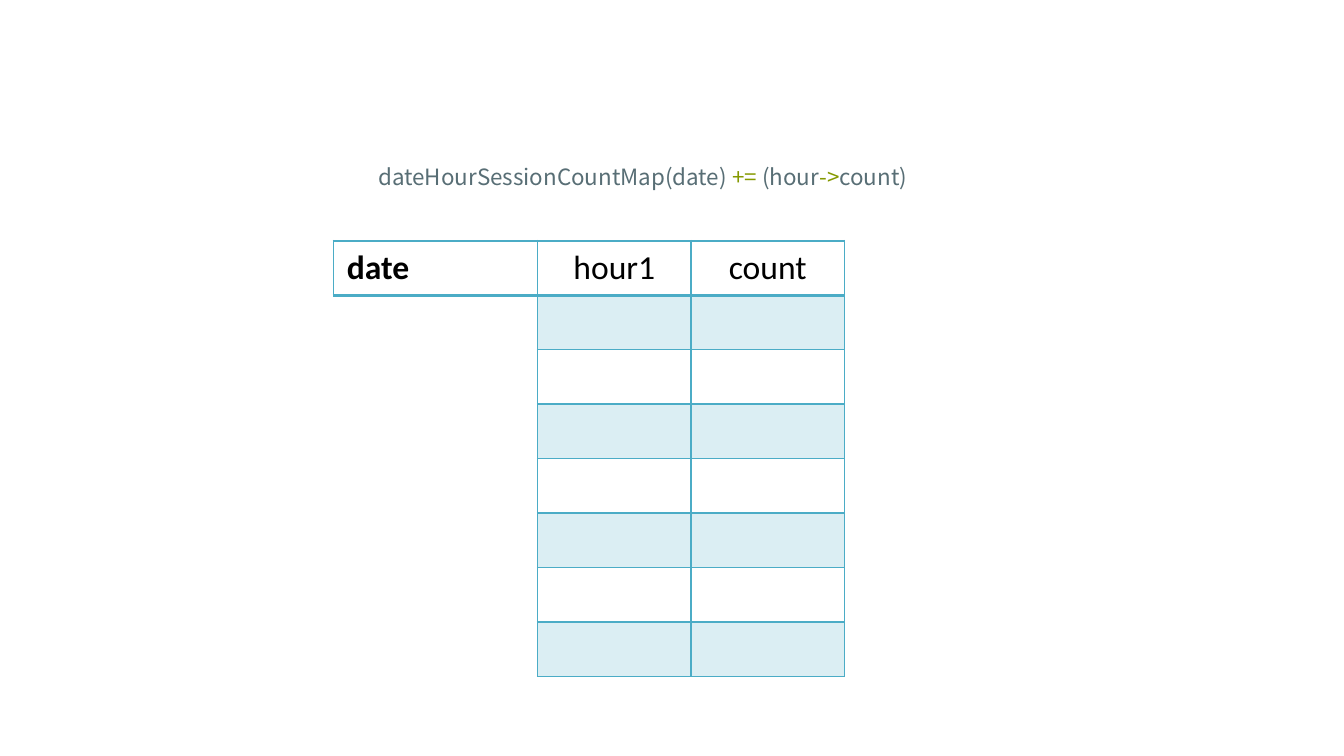
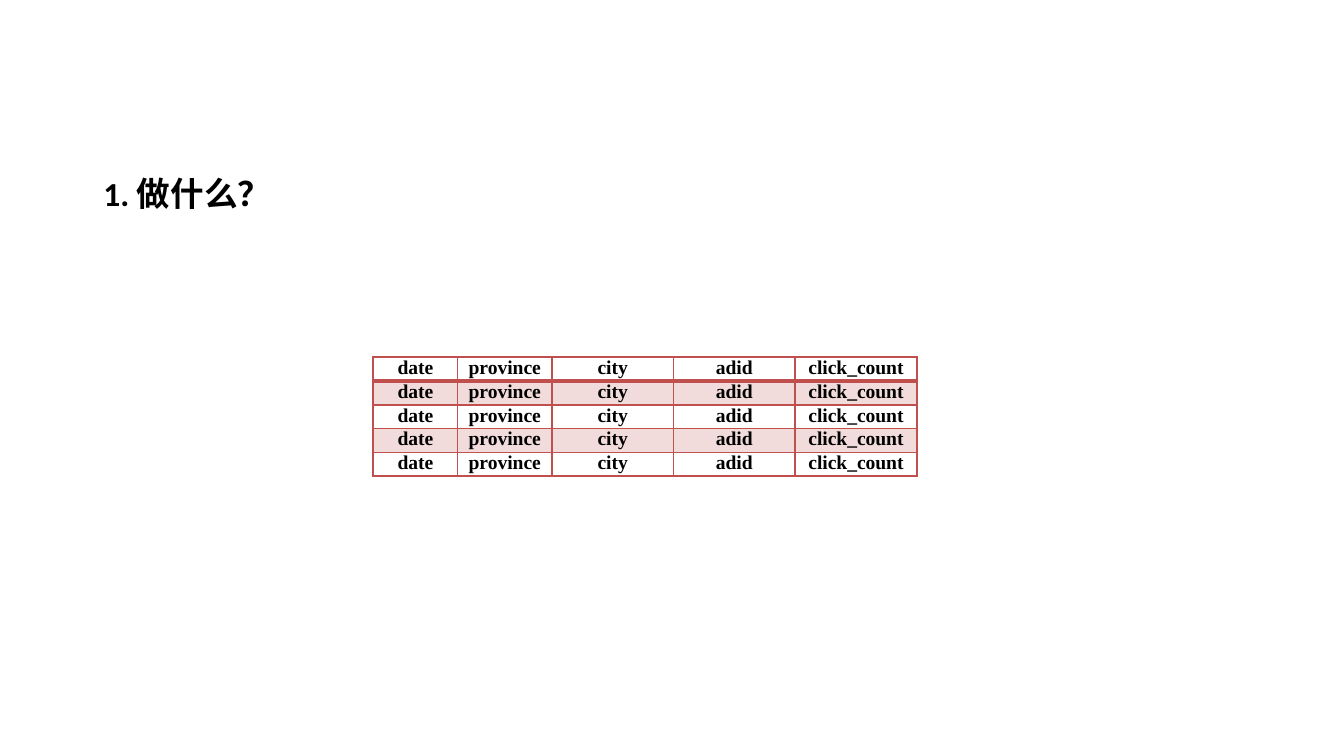
from lxml import etree
from pptx import Presentation
from pptx import util as u
from pptx.dml.color import RGBColor
from pptx.enum import text
from pptx.oxml import ns

BLACK = RGBColor(0x00, 0x00, 0x00)
TEAL = RGBColor(0x4B, 0xAC, 0xC6)
RED = RGBColor(0xC0, 0x50, 0x4D)
SLATE = RGBColor(0x58, 0x6E, 0x75)
OLIVE = RGBColor(0x85, 0x99, 0x00)

SANS = "Calibri"
CJK = "Noto Sans CJK SC"
SERIF = "Times New Roman"

TITLE_ONLY = 5
BLANK = 6
THIN, THICK = 1, 2
BAND_ALPHA = 20000


def format_run(run, font, size, color=BLACK, bold=False):
    run.font.name = font
    run.font.size = u.Pt(size)
    run.font.bold = bold
    run.font.color.rgb = color
    east_asian = etree.SubElement(run.font._element, ns.qn("a:ea"))
    east_asian.set("typeface", CJK)


def place(shape, left, top, width, height):
    shape.left, shape.top = u.Cm(left), u.Cm(top)
    shape.width, shape.height = u.Cm(width), u.Cm(height)


def set_borders(cell, color, top, bottom):
    properties = cell._tc.get_or_add_tcPr()
    sides = (("L", THIN), ("R", THIN), ("T", top), ("B", bottom))
    for position, (side, weight) in enumerate(sides):
        line = etree.Element(ns.qn(f"a:ln{side}"), w=str(u.Pt(weight)))
        fill = etree.SubElement(line, ns.qn("a:solidFill"))
        etree.SubElement(fill, ns.qn("a:srgbClr"), val=str(color))
        properties.insert(position, line)


def set_band(cell, color, banded):
    if not banded:
        cell.fill.background()
        return
    cell.fill.solid()
    cell.fill.fore_color.rgb = color
    tint = cell._tc.tcPr.find(".//" + ns.qn("a:srgbClr"))
    etree.SubElement(tint, ns.qn("a:alpha"), val=str(BAND_ALPHA))


def add_grid(slide, left, top, widths, row_height, rows, color, font, size,
             bold=False, align=text.PP_ALIGN.CENTER, margins=None):
    frame = slide.shapes.add_table(
        len(rows), len(widths), u.Cm(left), u.Cm(top),
        u.Cm(sum(widths)), u.Cm(row_height * len(rows)))
    grid = frame.table
    grid.first_row = grid.horz_banding = False
    for column, width in zip(grid.columns, widths):
        column.width = u.Cm(width)
    for index, labels in enumerate(rows):
        grid.rows[index].height = u.Cm(row_height)
        for cell, label in zip(grid.rows[index].cells, labels):
            set_band(cell, color, index % 2 == 1)
            set_borders(cell, color, THICK if index == 1 else THIN,
                        THICK if index == 0 else THIN)
            if margins:
                cell.margin_left = cell.margin_right = u.Cm(margins[0])
                cell.margin_top = cell.margin_bottom = u.Cm(margins[1])
            if label:
                cell.text_frame.text = label
                paragraph = cell.text_frame.paragraphs[0]
                paragraph.alignment = align
                format_run(paragraph.runs[0], font, size, bold=bold)


def add_code_line(slide, left, top, width, height, pieces):
    code = slide.shapes.add_textbox(0, 0, 0, 0)
    place(code, left, top, width, height)
    code.text_frame.word_wrap = True
    code.text_frame.auto_size = text.MSO_AUTO_SIZE.SHAPE_TO_FIT_TEXT
    for words, color in pieces:
        run = code.text_frame.paragraphs[0].add_run()
        run.text = words
        format_run(run, CJK, 12, color)


def set_title(slide, words, left, top, width, height):
    title = slide.shapes.title
    place(title, left, top, width, height)
    title.text_frame.text = words
    title.text_frame.word_wrap = False
    title.text_frame.auto_size = text.MSO_AUTO_SIZE.SHAPE_TO_FIT_TEXT
    title.text_frame.vertical_anchor = text.MSO_ANCHOR.TOP
    paragraph = title.text_frame.paragraphs[0]
    paragraph.alignment = text.PP_ALIGN.LEFT
    format_run(paragraph.runs[0], SANS, 18, bold=True)


def build_session_map(prs):
    slide = prs.slides.add_slide(prs.slide_layouts[BLANK])
    top, row_height, date_left, date_width = 4.55, 1.03, 6.3, 3.86
    hours = [("hour1", "count")] + [("", "")] * 7
    add_grid(slide, date_left + date_width, top, [2.9, 2.9], row_height,
             hours, TEAL, SANS, 18)
    add_grid(slide, date_left, top, [date_width], row_height, [("date",)],
             TEAL, SANS, 18, bold=True, align=text.PP_ALIGN.LEFT)
    add_code_line(slide, 6.9, 2.95, 10.8, 0.77, [
        ("dateHourSessionCountMap(date) ", SLATE), ("+= ", OLIVE),
        ("(hour", SLATE), ("->", OLIVE), ("count)", SLATE)])


def build_click_counts(prs):
    slide = prs.slides.add_slide(prs.slide_layouts[TITLE_ONLY])
    set_title(slide, "1. 做什么？", 1.7, 3.15, 3.6, 1.03)
    fields = ("date", "province", "city", "adid", "click_count")
    add_grid(slide, 7.05, 6.75, [1.6, 1.78, 2.3, 2.3, 2.3], 0.45,
             [fields] * 5, RED, SERIF, 10.5, bold=True, margins=(0.18, 0))


def main():
    prs = Presentation()
    prs.slide_width, prs.slide_height = u.Cm(25.4), u.Cm(14.29)
    build_session_map(prs)
    build_click_counts(prs)
    prs.save("out.pptx")


if __name__ == "__main__":
    main()
